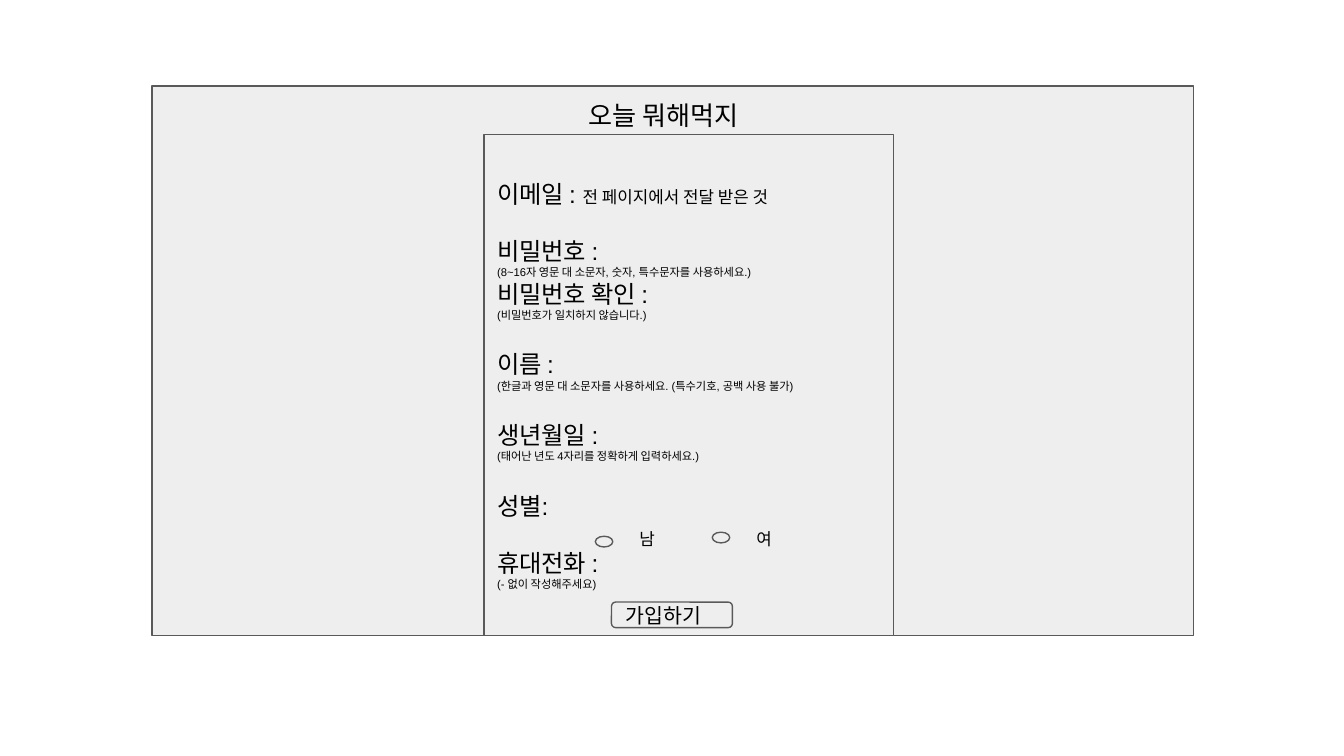
from pptx import Presentation
from pptx import util as u
from pptx.dml.color import RGBColor
from pptx.enum import shapes, text

prs = Presentation()
prs.slide_width = u.Inches(10)
prs.slide_height = prs.slide_width * 9 // 16
s = prs.slides.add_slide(prs.slide_layouts[6])

# Square grid: 100 columns across the slide
CELL = prs.slide_width // 100
KIND = shapes.MSO_SHAPE
FRAME = {"word_wrap": True, "vertical_anchor": text.MSO_ANCHOR.MIDDLE,
         "margin_left": CELL, "margin_right": CELL,
         "margin_top": CELL, "margin_bottom": CELL}


def add_box(kind, *cells):
    """Outlined grey shape, or a plain text box when kind is None."""
    box = [int(c * CELL) for c in cells]
    if kind is None:
        sp = s.shapes.add_textbox(*box)
    else:
        sp = s.shapes.add_shape(kind, *box)
        sp.shadow.inherit = False
        sp.fill.solid()
        sp.fill.fore_color.rgb = RGBColor.from_string("EEEEEE")
        sp.line.color.rgb = RGBColor.from_string("595959")
        sp.line.width = u.Pt(0.75)
    for name, value in FRAME.items():
        setattr(sp.text_frame, name, value)
    if kind is None:
        sp.text_frame.vertical_anchor = text.MSO_ANCHOR.TOP
    return sp


def write(p, *runs):
    """Fill a paragraph with (wording, size) runs."""
    p.alignment = text.PP_ALIGN.LEFT
    for words, size in runs:
        r = p.add_run()
        r.text = words
        for name, value in {"name": "Arial", "size": u.Pt(size)}.items():
            setattr(r.font, name, value)
        r.font.color.rgb = RGBColor.from_string("000000")


# Page and title
add_box(KIND.RECTANGLE, 11.3, 6.4, 77.5, 40.9)
title = add_box(None, 42.8, 6.4, 30.5, 4.4)
write(title.text_frame.paragraphs[0], ("오늘 뭐해먹지", 14))

# Sign-up form: label, text after it, hint below, gap above in points
GAP = 15
fields = [
    ("이메일 : ", "전 페이지에서 전달 받은 것", "", 0),
    ("비밀번호 : ", "", "(8~16자 영문 대 소문자, 숫자, 특수문자를 사용하세요.)", GAP),
    ("비밀번호 확인 :", "", "(비밀번호가 일치하지 않습니다.)", 0),
    ("이름 :", "", "(한글과 영문 대 소문자를 사용하세요. (특수기호, 공백 사용 불가)", GAP),
    ("생년월일 :", "", "(태어난 년도 4자리를 정확하게 입력하세요.)", GAP),
    ("성별:", "", "", GAP),
    ("휴대전화 :", "", "(- 없이 작성해주세요)", GAP),
]
tf = add_box(KIND.RECTANGLE, 36, 10, 30.5, 37.3).text_frame
for i, (label, value, hint, gap) in enumerate(fields):
    p = tf.add_paragraph() if i else tf.paragraphs[0]
    p.space_before = u.Pt(gap)
    write(p, (label, 13), *([(value, 9)] if value else []))
    if hint:
        write(tf.add_paragraph(), (hint, 6))

# Gender options
for label, col, row in (("남", 44.3, 39.9), ("여", 53, 39.6)):
    add_box(KIND.OVAL, col, row, 1.3, 0.8)
    option = add_box(None, col + 2.3, 38.6, 5.3, 3.5)
    write(option.text_frame.paragraphs[0], (label, 9))

# Join button
button = add_box(KIND.ROUNDED_RECTANGLE, 45.5, 44.8, 9, 1.9)
write(button.text_frame.paragraphs[0], ("가입하기", 11))

prs.save("out.pptx")
